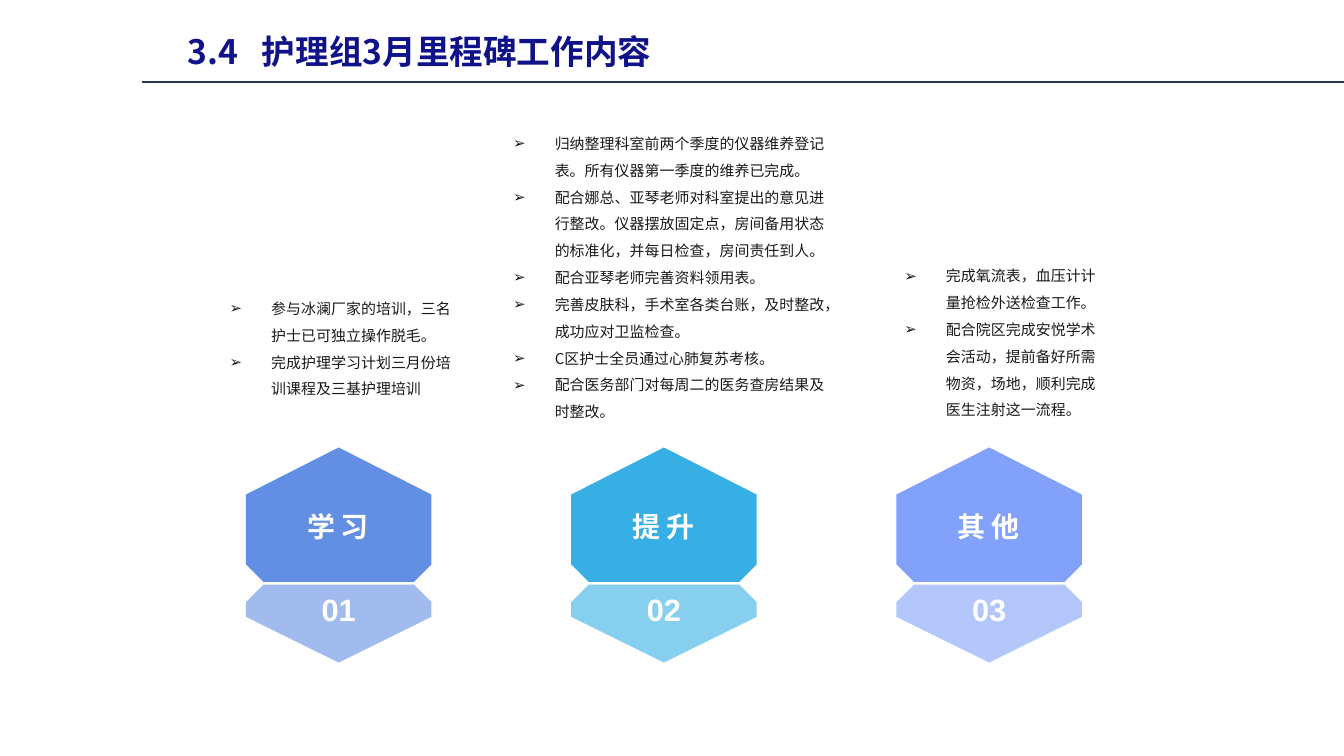
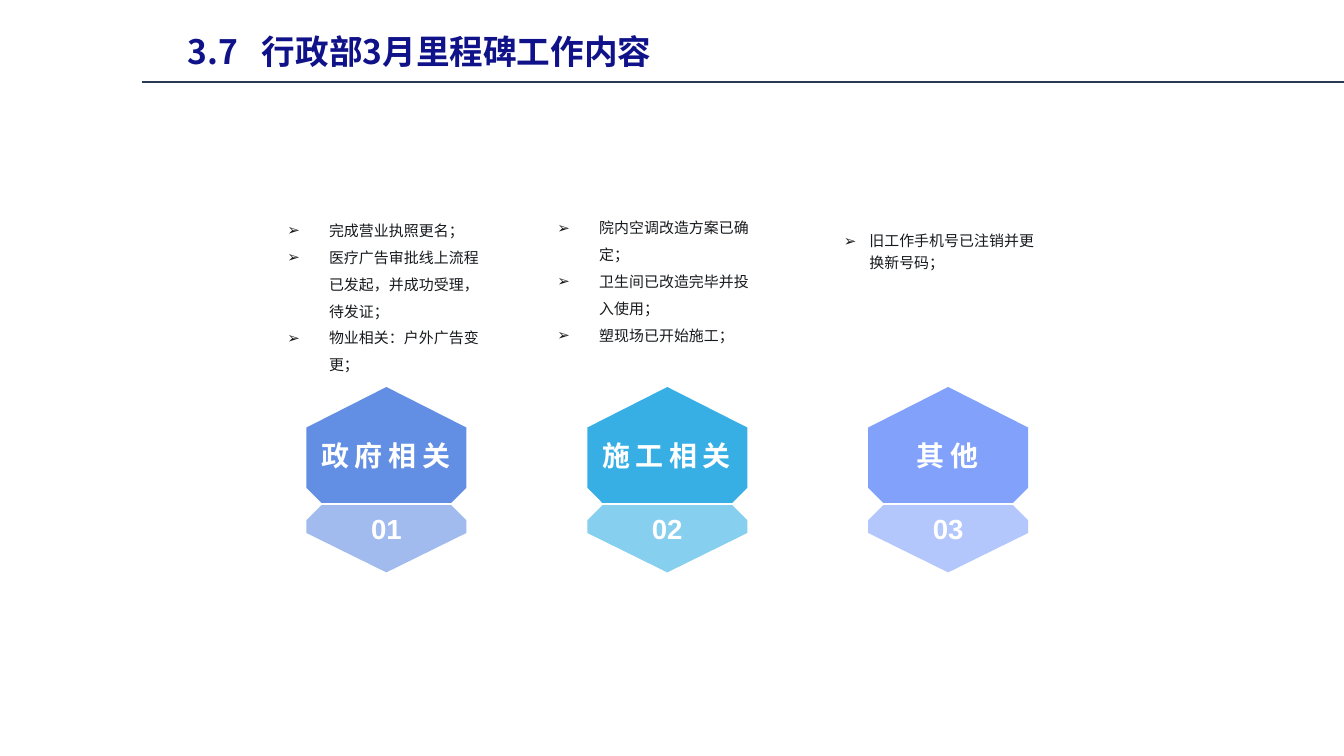
from lxml import etree
from pptx import Presentation
from pptx.dml.color import RGBColor
from pptx.enum.shapes import MSO_CONNECTOR
from pptx.enum.text import MSO_ANCHOR, PP_ALIGN
from pptx.oxml.ns import qn
from pptx.util import Inches, Pt

STRAIGHT = MSO_CONNECTOR.STRAIGHT
TOP, MIDDLE, BOTTOM = MSO_ANCHOR.TOP, MSO_ANCHOR.MIDDLE, MSO_ANCHOR.BOTTOM
LEFT, CENTER = PP_ALIGN.LEFT, PP_ALIGN.CENTER

CJK, LATIN = "Noto Sans CJK SC", "Arial"
NAVY, RULE, INK, WHITE = "101289", "273A4F", "171A1D", "FFFFFF"
BADGE_COLOURS = [("628EE3", "A1BBEE"), ("37AFE5", "87CFEF"), ("81A1FB", "B3C7FD")]

BADGE_WIDTH = 1.38
UPPER = [(0.69, 0), (1.38, 0.35), (1.38, 0.87), (1.25, 1), (0.13, 1), (0, 0.87), (0, 0.35)]
LOWER = [(0.13, 1.02), (1.25, 1.02), (1.38, 1.15), (1.38, 1.26), (0.69, 1.6), (0, 1.26), (0, 1.15)]
LABEL_BOX = (-0.04, 0.15, 1.45, 0.85)
NUMBER_BOX = (0.35, 1.02, 0.68, 0.44)

SLIDES = [
    {
        "title": "3.4\t护理组3月里程碑工作内容",
        "badges": {"left": 1.83, "top": 3.33, "width": 1.38, "pitch": 2.42, "number_size": 16.5},
        "labels": ["学习", "提升", "其他"],
        "notes": [
            {"box": (1.61, 2.1, 1.94, 0.91),
             "items": ["参与冰澜厂家的培训，三名护士已可独立操作脱毛。",
                       "完成护理学习计划三月份培训课程及三基护理培训"]},
            {"box": (3.72, 0.77, 2.57, 2.61), "bottom": 0.25,
             "items": ["归纳整理科室前两个季度的仪器维养登记表。所有仪器第一季度的维养已完成。",
                       "配合娜总、亚琴老师对科室提出的意见进行整改。仪器摆放固定点，房间备用状态的标准化，并每日检查，房间责任到人。",
                       "配合亚琴老师完善资料领用表。",
                       "完善皮肤科，手术室各类台账，及时整改，成功应对卫监检查。",
                       "C区护士全员通过心肺复苏考核。",
                       "配合医务部门对每周二的医务查房结果及时整改。"]},
            {"box": (6.63, 1.87, 1.72, 1.31), "anchor": TOP,
             "items": ["完成氧流表，血压计计量抢检外送检查工作。",
                       "配合院区完成安悦学术会活动，提前备好所需物资，场地，顺利完成医生注射这一流程。"]},
        ],
    },
    {
        "title": "3.7\t行政部3月里程碑工作内容",
        "badges": {"left": 2.28, "top": 2.88, "width": 1.19, "pitch": 2.09, "number_size": 14.8},
        "labels": ["政府相关", "施工相关", "其他"],
        "notes": [
            {"box": (2.04, 1.29, 1.67, 1.54),
             "items": ["完成营业执照更名；",
                       "医疗广告审批线上流程已发起，并成功受理，待发证；",
                       "物业相关：户外广告变更；"]},
            {"box": (4.05, 1.4, 1.67, 1.21),
             "items": ["院内空调改造方案已确定；",
                       "卫生间已改造完毕并投入使用；",
                       "塑现场已开始施工；"]},
            {"box": (6.18, 1.46, 1.67, 0.96), "bottom": 0.4, "indent": 0.19, "spacing": 1.2,
             "items": ["旧工作手机号已注销并更换新号码；"]},
        ],
    },
]


def colour(value):
    """Turn a hex string into a colour."""
    return RGBColor.from_string(value)


def add_bullet(para, indent):
    """Give a paragraph an arrow bullet with a hanging indent."""
    props = para._p.get_or_add_pPr()
    props.set("marL", str(Inches(indent)))
    props.set("indent", str(-Inches(indent)))
    etree.SubElement(props, qn("a:buFont")).set("typeface", LATIN)
    etree.SubElement(props, qn("a:buChar")).set("char", "➢")


def add_tab(para, position):
    """Set one left tab stop on a paragraph."""
    stops = etree.SubElement(para._p.get_or_add_pPr(), qn("a:tabLst"))
    etree.SubElement(stops, qn("a:tab"), pos=str(Inches(position)), algn="l")


def add_text(page, box, text, *, size, color, font=CJK, bold=False, align=LEFT, anchor=TOP,
             spacing=1.0, tracking=0, indent=0, tab=0, bottom=0.05):
    """Add a text box holding one paragraph per line of text."""
    frame = page.shapes.add_textbox(*map(Inches, box)).text_frame
    frame.word_wrap = True
    frame.vertical_anchor = anchor
    frame.margin_bottom = Inches(bottom)
    for index, line in enumerate(text.split("\n")):
        para = frame.add_paragraph() if index else frame.paragraphs[0]
        para.alignment = align
        para.line_spacing = spacing
        if indent:
            add_bullet(para, indent)
        if tab:
            add_tab(para, tab)
        span = para.add_run()
        span.text = line
        span.font.size = Pt(size)
        span.font.bold = bold
        span.font.name = font
        span.font.color.rgb = colour(color)
        props = span.font._element
        etree.SubElement(props, qn("a:ea")).set("typeface", CJK)
        if tracking:
            props.set("spc", str(tracking * 100))


def add_outline(page, points, fill):
    """Draw a closed, filled outline through points."""
    corners = [(Inches(x), Inches(y)) for x, y in points]
    builder = page.shapes.build_freeform(*corners[0])
    builder.add_line_segments(corners[1:], close=True)
    shape = builder.convert_to_shape()
    shape.shadow.inherit = False
    shape.fill.solid()
    shape.fill.fore_color.rgb = colour(fill)
    shape.line.fill.background()


def add_header(page, title):
    """Add the title and the rule below it."""
    add_text(page, (1.3, 0.03, 7.35, 0.55), title, size=18, color=NAVY, bold=True,
             spacing=1.5, tab=0.55)
    rule = page.shapes.add_connector(STRAIGHT, *map(Inches, (1.06, 0.61, 10, 0.61)))
    rule.line.color.rgb = colour(RULE)
    rule.line.width = Pt(1)
    etree.SubElement(rule._element.spPr, qn("a:effectLst"))


def add_badge(page, left, top, width, label, number, number_size, fills):
    """Draw a two-part hexagon with its label and number."""
    scale = width / BADGE_WIDTH

    def place(box):
        """Scale a box and move it to the badge."""
        x, y, wide, high = (scale * length for length in box)
        return left + x, top + y, wide, high

    for points, fill in zip((UPPER, LOWER), fills):
        add_outline(page, [(left + scale * x, top + scale * y) for x, y in points], fill)
    style = {"color": WHITE, "font": LATIN, "bold": True, "align": CENTER}
    add_text(page, place(LABEL_BOX), label, size=15, anchor=MIDDLE, spacing=1.1, tracking=3, **style)
    add_text(page, place(NUMBER_BOX), number, size=number_size, **style)


def add_notes(page, box, items, anchor=BOTTOM, indent=0.31, spacing=1.5, bottom=0.05):
    """Add a bulleted list above a badge."""
    add_text(page, box, "\n".join(items), size=8, color=INK, anchor=anchor, indent=indent,
             spacing=spacing, bottom=bottom)


def add_milestones(deck, title, badges, labels, notes):
    """Add a slide of three badges with their notes."""
    page = deck.slides.add_slide(deck.slide_layouts[6])
    add_header(page, title)
    for index, (label, note, fills) in enumerate(zip(labels, notes, BADGE_COLOURS)):
        add_badge(page, badges["left"] + index * badges["pitch"], badges["top"], badges["width"],
                  label, f"{index + 1:02}", badges["number_size"], fills)
        add_notes(page, **note)


def main():
    """Build and save the deck."""
    deck = Presentation()
    deck.slide_width = Inches(10)
    deck.slide_height = Inches(10 * 9 / 16)
    for content in SLIDES:
        add_milestones(deck, **content)
    deck.save("out.pptx")


if __name__ == "__main__":
    main()
